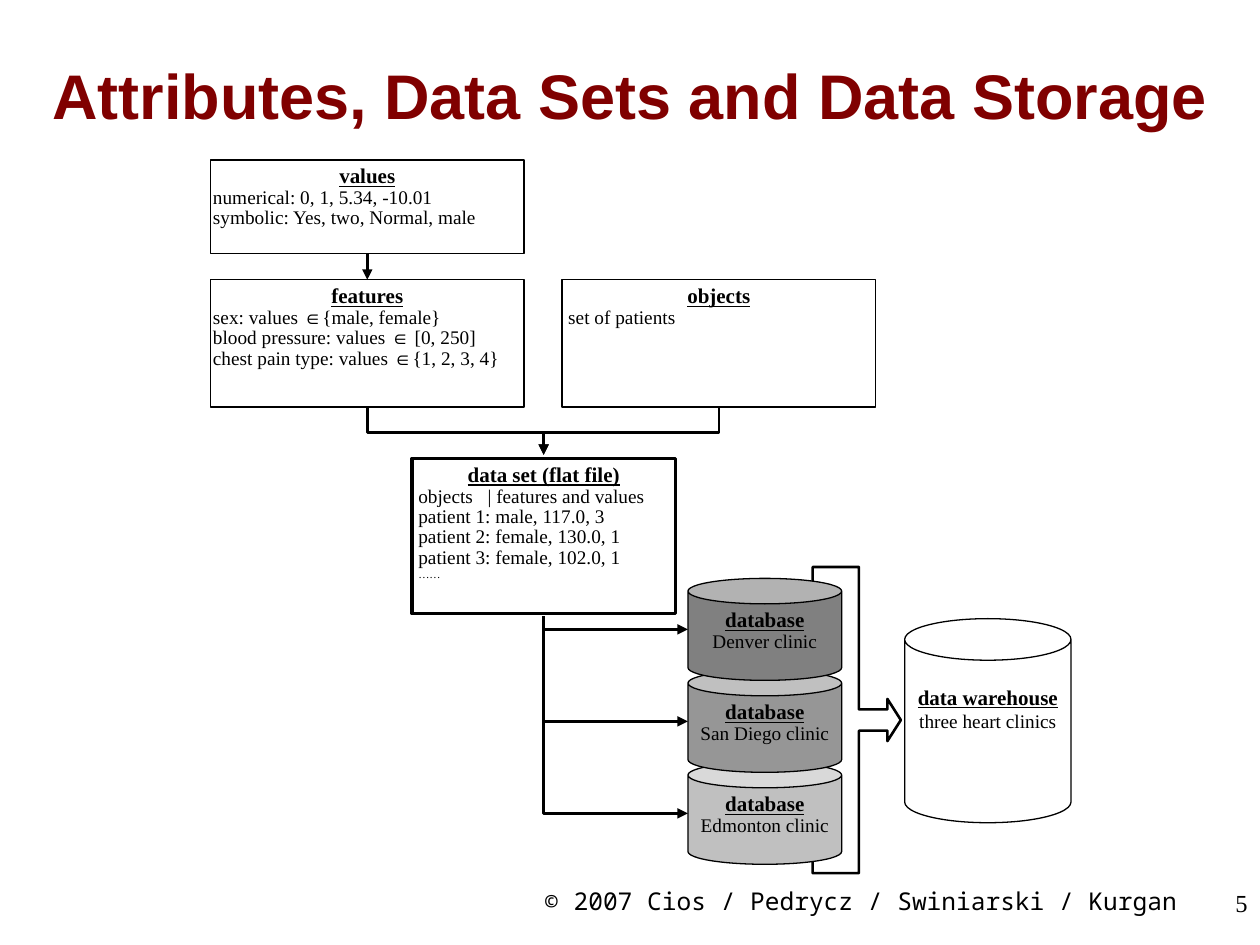
import pptx
import pptx.util
import pptx.dml.color
import pptx.enum.shapes
import pptx.enum.text
import pptx.oxml.ns
from lxml import etree

Inches = pptx.util.Inches
Pt = pptx.util.Pt
qn = pptx.oxml.ns.qn
SHAPES = pptx.enum.shapes.MSO_SHAPE
CONNECTORS = pptx.enum.shapes.MSO_CONNECTOR
ANCHOR = pptx.enum.text.MSO_ANCHOR
ALIGN = pptx.enum.text.PP_ALIGN
SERIF = "Times New Roman"

TITLE = "Attributes, Data Sets and Data Storage"
COPYRIGHT = "© 2007 Cios / Pedrycz / Swiniarski / Kurgan"
PAGE = "5"
BOXES = [
    {"box": (1.67, 1.27, 2.49, 0.74), "heading": "values",
     "lines": ["numerical: 0, 1, 5.34, -10.01", "symbolic: Yes, two, Normal, male"]},
    {"box": (1.67, 2.22, 2.49, 1.01), "heading": "features",
     "lines": ["sex: values ∈{male, female}", "blood pressure: values ∈ [0, 250]",
               "chest pain type: values ∈{1, 2, 3, 4}"]},
    {"box": (4.46, 2.22, 2.49, 1.01), "heading": "objects",
     "lines": ["set of patients"], "inset": 0.05},
    {"box": (3.27, 3.64, 2.09, 1.23), "heading": "data set (flat file)",
     "lines": ["objects\t| features and values", "patient 1: male, 117.0, 3",
               "patient 2: female, 130.0, 1", "patient 3: female, 102.0, 1", "……"],
     "inset": 0.05, "weight": 2},
]
DATABASES = [("Denver clinic", "808080"), ("San Diego clinic", "969696"), ("Edmonton clinic", "C0C0C0")]
DATABASE_LEFT, DATABASE_TOP, DATABASE_STEP = 5.46, 4.59, 0.73
DATABASE_WIDTH, DATABASE_HEIGHT = 1.22, 0.81
WAREHOUSE = {"box": (7.18, 4.91, 1.32, 1.62), "heading": "data warehouse", "line": "three heart clinics"}
CALLOUT_BOX = (6.45, 4.5, 0.7, 2.43)
CALLOUT_ADJUSTMENTS = (0.241, 0.239, 0.152, 0.525)

presentation = pptx.Presentation()
presentation.slide_width, presentation.slide_height = Inches(10), Inches(7.5)
slide = presentation.slides.add_slide(presentation.slide_layouts[6])


def color(value):
    return pptx.dml.color.RGBColor.from_string(value)


def write(paragraph, text, size=11, font=SERIF, fill="000000", bold=False, underline=False,
          align=ALIGN.LEFT, spacing=None, baseline=None):
    paragraph.alignment = align
    if spacing:
        paragraph.line_spacing = spacing
    before, symbol, after = text.partition("∈")
    for part, face in ((before, font), (symbol, "Arial"), (after, font)):
        if part:
            run = paragraph.add_run()
            run.text = part
            run.font.name, run.font.size = face, Pt(size)
            run.font.bold, run.font.underline = bold, underline
            run.font.color.rgb = color(fill)
            if baseline:
                run._r.get_or_add_rPr().set("baseline", str(baseline))


def prepare_frame(shape, side=0.1, top=0.05, bottom=0.05, anchor=ANCHOR.TOP):
    frame = shape.text_frame
    frame.word_wrap = True
    frame.vertical_anchor = anchor
    frame.margin_left = frame.margin_right = Inches(side)
    frame.margin_top, frame.margin_bottom = Inches(top), Inches(bottom)
    return frame


def add_label(box, text, anchor=ANCHOR.TOP, **style):
    frame = prepare_frame(slide.shapes.add_textbox(*map(Inches, box)), anchor=anchor)
    write(frame.paragraphs[0], text, **style)


def add_outline(kind, box, fill=None, weight=0.75):
    shape = slide.shapes.add_shape(kind, *map(Inches, box))
    shape.shadow.inherit = False
    if fill:
        shape.fill.solid()
        shape.fill.fore_color.rgb = color(fill)
    else:
        shape.fill.background()
    shape.line.color.rgb = color("000000")
    shape.line.width = Pt(weight)
    return shape


def add_can(box, heading, line, fill, spacing=None, **margins):
    frame = prepare_frame(add_outline(SHAPES.CAN, box, fill), **margins)
    write(frame.paragraphs[0], heading, size=12, bold=True, underline=True,
          align=ALIGN.CENTER, spacing=spacing)
    write(frame.add_paragraph(), line, align=ALIGN.CENTER, spacing=spacing)


def add_tab_stop(paragraph, position):
    tabs = etree.SubElement(paragraph._p.get_or_add_pPr(), qn("a:tabLst"))
    etree.SubElement(tabs, qn("a:tab"), pos=str(Inches(position)), algn="l")


def add_box(box, heading, lines, inset=0.02, weight=0.75):
    frame = prepare_frame(add_outline(SHAPES.RECTANGLE, box, weight=weight), side=inset)
    write(frame.paragraphs[0], heading, size=12, bold=True, underline=True,
          align=ALIGN.CENTER, spacing=0.88)
    for line in lines:
        paragraph = frame.add_paragraph()
        if "\t" in line:
            add_tab_stop(paragraph, 0.55)
        write(paragraph, line, spacing=0.88, baseline=30000 if line == "……" else None)


def add_arrow(kind, left, top, right, bottom):
    connector = slide.shapes.add_connector(kind, *map(Inches, (left, top, right, bottom)))
    connector.line.color.rgb = color("000000")
    connector.line.width = Pt(1.5)
    etree.SubElement(connector.line._get_or_add_ln(), qn("a:tailEnd"), type="triangle")
    etree.SubElement(connector._element.spPr, qn("a:effectLst"))
    return connector


def add_elbow(start, end, preset, bend=None):
    across, down = abs(end[0] - start[0]), end[1] - start[1]
    left = (start[0] + end[0] - down) / 2
    top = (start[1] + end[1] - across) / 2
    connector = add_arrow(CONNECTORS.ELBOW, left, top, left + down, top + across)
    properties = connector._element.spPr
    transform = properties.find(qn("a:xfrm"))
    if end[0] > start[0]:
        transform.set("rot", "16200000")
        transform.set("flipH", "1")
    else:
        transform.set("rot", "5400000")
    geometry = properties.find(qn("a:prstGeom"))
    geometry.set("prst", preset)
    if bend:
        guides = geometry.find(qn("a:avLst"))
        etree.SubElement(guides, qn("a:gd"), name="adj1", fmla=f"val {round(bend * 100000)}")


add_label((4, 6.98, 5.67, 0.52), COPYRIGHT, size=14, font="Noto Sans Mono", align=ALIGN.CENTER)
add_label((7.92, 7, 2.08, 0.5), PAGE, size=14, align=ALIGN.RIGHT)
add_label((0, 0.25, 10, 1), TITLE, anchor=ANCHOR.MIDDLE, size=36, font="Arial",
          fill="800000", bold=True, align=ALIGN.CENTER)

callout = add_outline(SHAPES.RIGHT_ARROW_CALLOUT, CALLOUT_BOX, "FFFFFF", 1.5)
for index, value in enumerate(CALLOUT_ADJUSTMENTS):
    callout.adjustments[index] = value

for entry in BOXES:
    add_box(**entry)

values_box, features_box, objects_box, data_set_box = [entry["box"] for entry in BOXES]
features_center = features_box[0] + features_box[2] / 2
objects_center = objects_box[0] + objects_box[2] / 2
data_set_center = data_set_box[0] + data_set_box[2] / 2
features_bottom = features_box[1] + features_box[3]
add_arrow(CONNECTORS.STRAIGHT, features_center, values_box[1] + values_box[3],
          features_center, features_box[1])
for center in (features_center, objects_center):
    add_elbow((center, features_bottom), (data_set_center, 3.61), "bentConnector3", 0.528)

for index, (clinic, fill) in reversed(list(enumerate(DATABASES))):
    top = DATABASE_TOP + index * DATABASE_STEP
    add_can((DATABASE_LEFT, top, DATABASE_WIDTH, DATABASE_HEIGHT), "database", clinic, fill,
            spacing=0.88, side=0.02, bottom=0)
    add_elbow((data_set_center, 4.89), (DATABASE_LEFT, top + DATABASE_HEIGHT / 2), "bentConnector2")

add_can(WAREHOUSE["box"], WAREHOUSE["heading"], WAREHOUSE["line"], "FFFFFF", side=0.05, top=0.19)

presentation.save("out.pptx")
